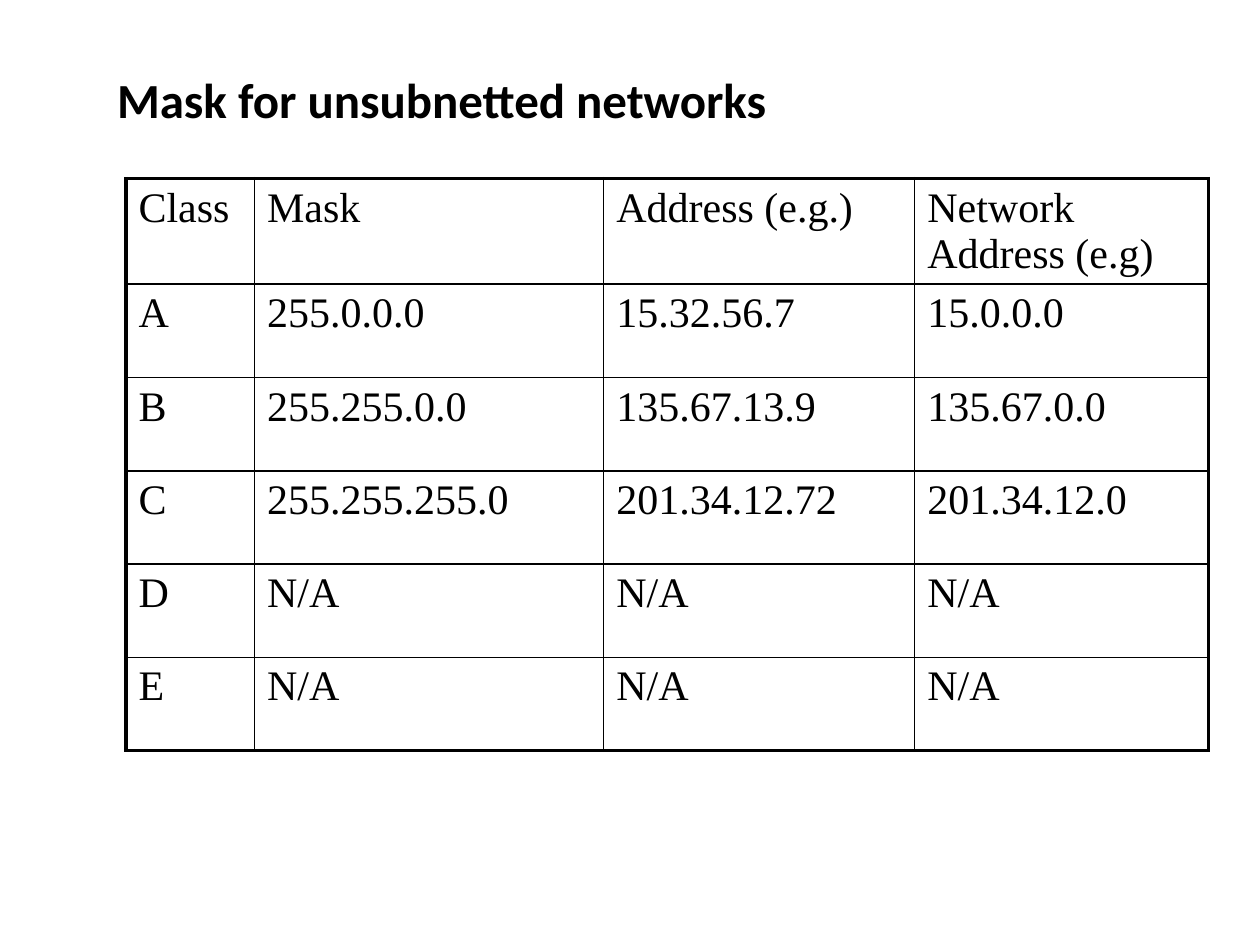
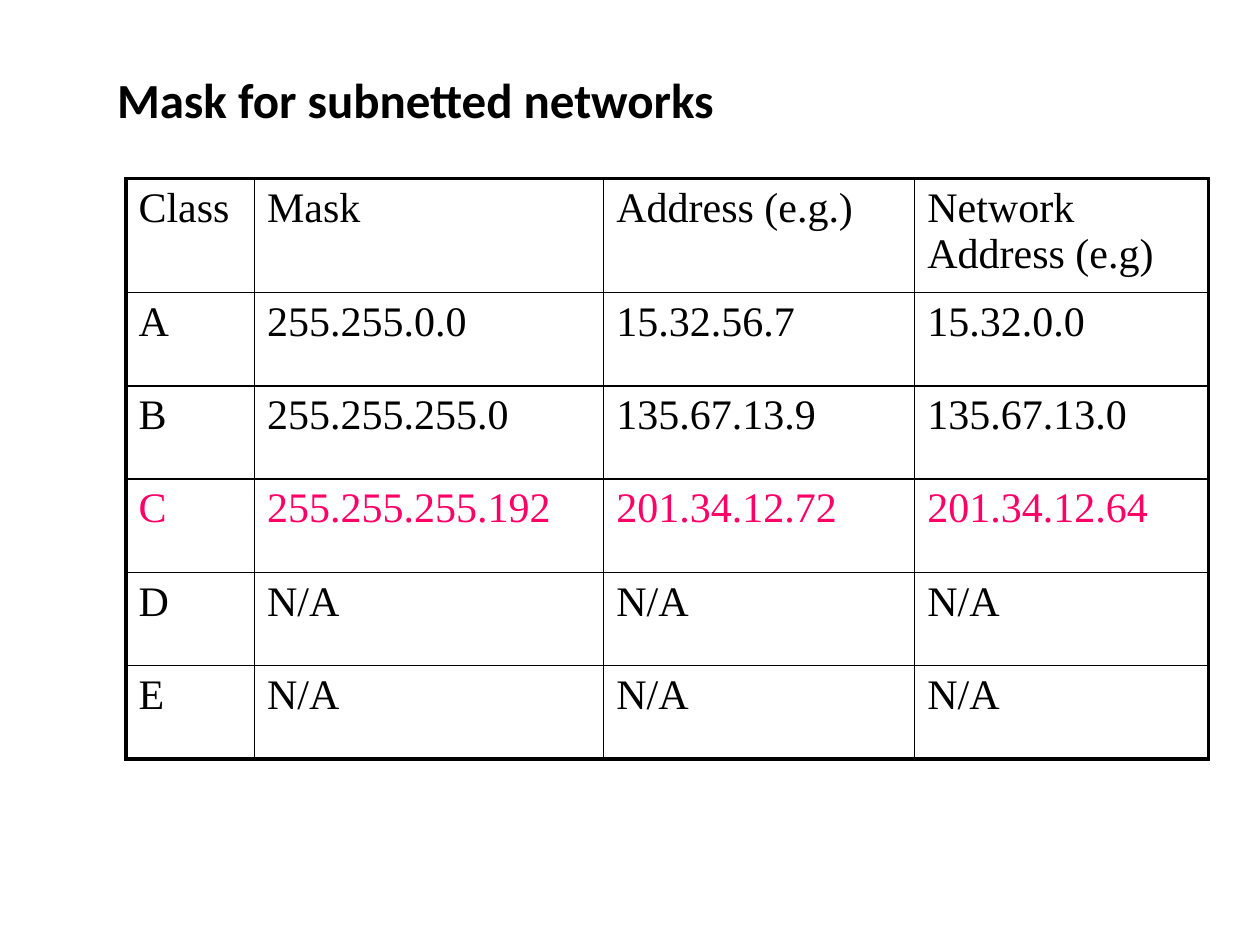
from dataclasses import dataclass

from lxml.etree import SubElement
from pptx import Presentation
from pptx.dml.color import RGBColor as RGB
from pptx.enum.text import MSO_AUTO_SIZE as Auto
from pptx.oxml.ns import qn
from pptx.util import Cm, Pt


@dataclass(frozen=True)
class Theme:
    """Colours, fonts, type sizes and line widths of the deck."""
    ink: str = "000000"
    accent: str = "FF0066"
    title_font: str = "Calibri"
    cell_font: str = "Times New Roman"
    title_size: int = 28
    cell_size: int = 24
    inner_line: float = 1
    outer_line: float = 2.25


THEME = Theme()
TITLE_BOX = (2.11, 1.27, 22.02, 1.45)
TABLE_ORIGIN = (2.54, 3.6)
COL_WIDTHS = (2.59, 7.04, 6.27, 5.92)
ROW_HEIGHT = 1.88
HEADER = ("Class", "Mask", "Address (e.g.)", "Network Address (e.g)")
NO_MASK = [(c, "N/A", "N/A", "N/A") for c in "DE"]

SLIDES = (
    dict(title="Mask for unsubnetted networks", header_height=2.13, marked=None,
         rows=(("A", "255.0.0.0", "15.32.56.7", "15.0.0.0"),
               ("B", "255.255.0.0", "135.67.13.9", "135.67.0.0"),
               ("C", "255.255.255.0", "201.34.12.72", "201.34.12.0"))),
    dict(title="Mask for subnetted networks", header_height=2.3, marked="C",
         rows=(("A", "255.255.0.0", "15.32.56.7", "15.32.0.0"),
               ("B", "255.255.255.0", "135.67.13.9", "135.67.13.0"),
               ("C", "255.255.255.192", "201.34.12.72", "201.34.12.64"))),
)


def write(tf, text, color, **fmt):
    """Write one run with the given font values."""
    r = tf.paragraphs[0].add_run()
    r.text = text
    r.font.color.rgb = RGB.from_string(color)
    for name, value in fmt.items():
        setattr(r.font, name, value)


def add_title(s, box, text):
    """Place the bold slide title in its box."""
    tf = s.shapes.add_textbox(*map(Cm, box)).text_frame
    for name, value in dict(word_wrap=True, auto_size=Auto.SHAPE_TO_FIT_TEXT).items():
        setattr(tf, name, value)
    write(tf, text, THEME.ink, name=THEME.title_font,
          size=Pt(THEME.title_size), bold=True)


def set_borders(cell, edges):
    """Draw the four cell borders, heavier where the side is an outer edge."""
    tc_pr = cell._tc.get_or_add_tcPr()
    for side, outer in edges.items():
        width = THEME.outer_line if outer else THEME.inner_line
        ln = SubElement(tc_pr, qn(f"a:ln{side}"), w=str(Pt(width)))
        fill = SubElement(ln, qn("a:solidFill"))
        SubElement(fill, qn("a:srgbClr"), val=THEME.ink)


def add_mask_table(s, origin, rows, header_height, marked):
    """Place the class table at its origin and colour the marked class."""
    heights = [header_height] + [ROW_HEIGHT] * (len(rows) - 1)
    size = (sum(COL_WIDTHS), sum(heights))
    table = s.shapes.add_table(len(rows), len(HEADER),
                               *map(Cm, origin + size)).table
    table.first_row = table.horz_banding = False
    for col, width in zip(table.columns, COL_WIDTHS):
        col.width = Cm(width)
    for i, (row, height) in enumerate(zip(rows, heights)):
        table.rows[i].height = Cm(height)
        color = THEME.accent if row[0] == marked else THEME.ink
        for j, text in enumerate(row):
            cell = table.cell(i, j)
            set_borders(cell, dict(L=j == 0, R=j == len(row) - 1,
                                   T=i == 0, B=i == len(rows) - 1))
            cell.fill.background()
            write(cell.text_frame, text, color, name=THEME.cell_font,
                  size=Pt(THEME.cell_size))


def add_mask_slide(prs, title, header_height, marked, rows):
    """Add one slide with a class table under a title."""
    s = prs.slides.add_slide(prs.slide_layouts[6])
    add_mask_table(s, TABLE_ORIGIN, [HEADER, *rows, *NO_MASK], header_height, marked)
    add_title(s, TITLE_BOX, title)


def main():
    """Build and save the deck."""
    prs = Presentation()
    prs.slide_width, prs.slide_height = Cm(25.4), Cm(19.05)
    for content in SLIDES:
        add_mask_slide(prs, **content)
    prs.save("out.pptx")


if __name__ == "__main__":
    main()
